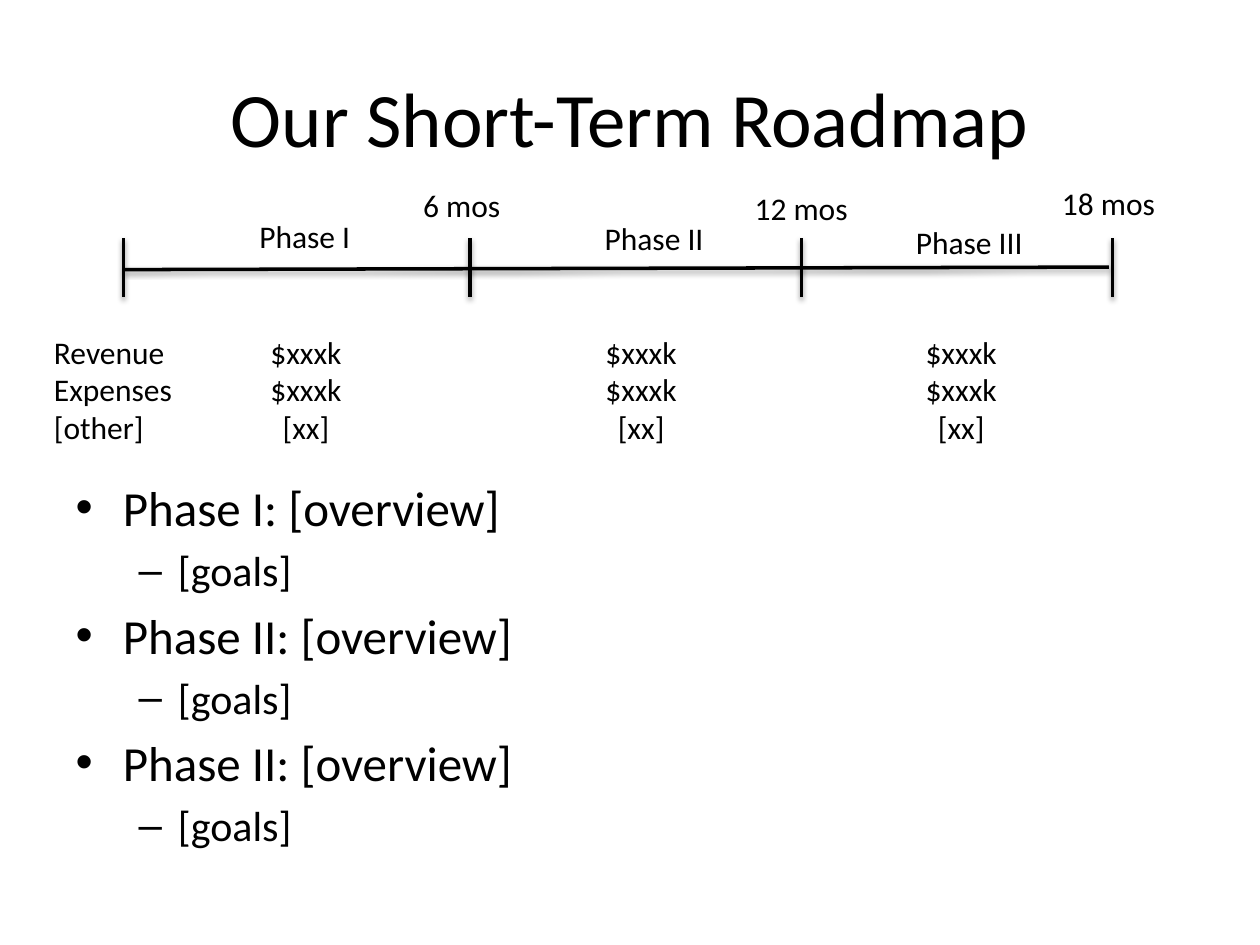
from pptx import Presentation
from pptx.dml.color import RGBColor
from pptx.enum.shapes import MSO_CONNECTOR
from pptx.enum.text import MSO_ANCHOR, MSO_AUTO_SIZE, PP_ALIGN
from pptx.oxml import parse_xml
from pptx.oxml.ns import nsdecls
from pptx.util import Inches, Pt

SHADOW = (
    f'<a:effectLst {nsdecls("a")}><a:outerShdw blurRad="40000" dist="20000" '
    'dir="5400000" rotWithShape="0"><a:srgbClr val="000000">'
    '<a:alpha val="38000"/></a:srgbClr></a:outerShdw></a:effectLst>'
)


def paint(color, code):
    color.rgb = RGBColor.from_string(code)


def apply(item, form):
    for name, value in form.items():
        setattr(item, name, value)


class Deck:
    font = "Calibri"
    ink = "000000"

    def __init__(self):
        self.file = Presentation()
        apply(self.file, {"slide_width": Inches(10), "slide_height": Inches(7.5)})
        self.slide = self.file.slides.add_slide(self.file.slide_layouts[1])

    def fill(self, frame, rows, size, form):
        apply(frame, form)
        for i, (text, level) in enumerate(rows):
            para = frame.paragraphs[0] if i == 0 else frame.add_paragraph()
            para.level = level
            run = para.add_run()
            run.text = text
            apply(run.font, {"name": self.font, "size": Pt(size - 4 * level)})
            paint(run.font.color, self.ink)

    def holder(self, index, box, rows, size, form):
        shape = self.slide.placeholders[index]
        names = ("left", "top", "width", "height")
        apply(shape, dict(zip(names, map(Inches, box))))
        form = {"auto_size": MSO_AUTO_SIZE.NONE, **form}
        self.fill(shape.text_frame, rows, size, form)
        return shape.text_frame

    def label(self, box, rows, wrap=False):
        frame = self.slide.shapes.add_textbox(*map(Inches, box)).text_frame
        form = {"word_wrap": wrap, "auto_size": MSO_AUTO_SIZE.SHAPE_TO_FIT_TEXT}
        self.fill(frame, [(row, 0) for row in rows], 18, form)
        return frame

    def grid(self, box, rows, stops):
        frame = self.label(box, ["\t".join(row) for row in rows], True)
        tabs = "".join(f'<a:tab pos="{Inches(x)}" algn="ctr"/>' for x in stops)
        for para in frame.paragraphs:
            props = para._p.get_or_add_pPr()
            props.append(parse_xml(f'<a:tabLst {nsdecls("a")}>{tabs}</a:tabLst>'))

    def line(self, *ends):
        line = self.slide.shapes.add_connector(
            MSO_CONNECTOR.STRAIGHT, *map(Inches, ends))
        line.line.width = Pt(2)
        paint(line.line.color, self.ink)
        line._element.spPr.append(parse_xml(SHADOW))


deck = Deck()
title = deck.holder(0, (0.5, 0.3, 9, 1.25), [("Our Short-Term Roadmap", 0)], 44,
                    {"vertical_anchor": MSO_ANCHOR.MIDDLE})
title.paragraphs[0].alignment = PP_ALIGN.CENTER

goals = []
for phase in ("I", "II", "II"):
    goals += [(f"Phase {phase}: [overview]", 0), ("[goals]", 1)]
deck.holder(1, (0.5, 3.74, 9, 3.62), goals, 28, {"word_wrap": True})

deck.line(0.98, 2.14, 8.8, 2.12)
for x in (0.98, 3.73, 6.36, 8.83):
    deck.line(x, 1.89, x, 2.36)

for text, x, y, width in (
    ("Phase I", 1.96, 1.67, 0.93),
    ("Phase II", 4.7, 1.69, 0.99),
    ("Phase III", 7.17, 1.72, 1.06),
    ("6 mos", 3.26, 1.43, 0.82),
    ("12 mos", 5.89, 1.45, 0.95),
    ("18 mos", 8.33, 1.41, 0.95),
):
    deck.label((x, y, width, 0.4), [text])

facts = (("Revenue", "$xxxk"), ("Expenses", "$xxxk"), ("[other]", "[xx]"))
deck.grid((0.33, 2.59, 7.78, 1.01),
          [(name, *[value] * 3) for name, value in facts], (2, 4.66, 7.2))

deck.file.save("out.pptx")
